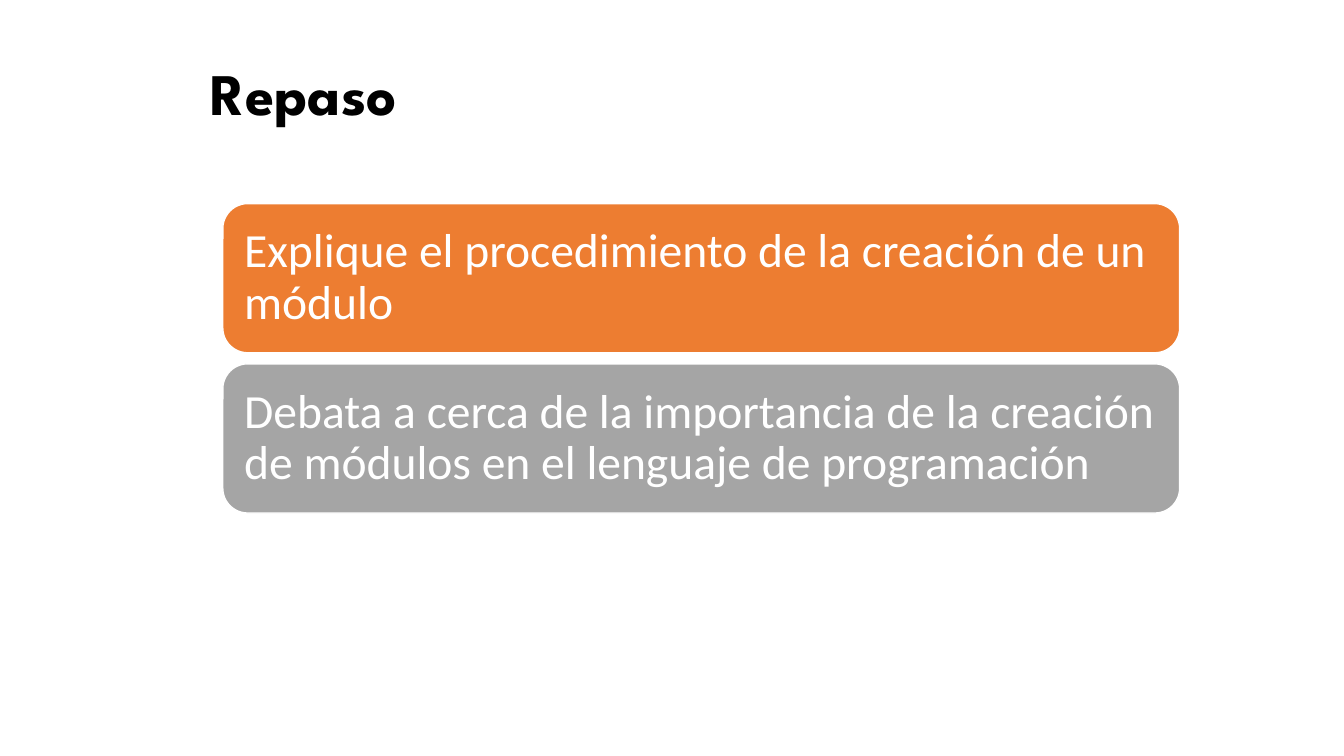
"""Build the review slide with a title and two discussion prompts."""
from dataclasses import dataclass

import pptx
import pptx.dml.color
import pptx.enum.shapes
import pptx.enum.text
import pptx.shapes.autoshape
import pptx.slide
import pptx.text.text
import pptx.util

Inches = pptx.util.Inches
RGBColor = pptx.dml.color.RGBColor


@dataclass(frozen=True)
class Theme:
    title_font: str = "League Spartan"
    body_font: str = "Calibri"
    title_size: int = 42
    body_size: int = 34
    black: str = "000000"
    white: str = "FFFFFF"
    orange: str = "ED7D31"
    gray: str = "A5A5A5"


@dataclass(frozen=True)
class Grid:
    left: float = 2.21
    top: float = 2.02
    width: float = 9.49
    height: float = 1.48
    pitch: float = 1.59
    side_inset: float = 0.14


@dataclass(frozen=True)
class Prompt:
    text: str
    color: str


THEME = Theme()
GRID = Grid()
PROMPTS = (
    Prompt("Explique el procedimiento de la creación de un módulo", THEME.orange),
    Prompt(
        "Debata a cerca de la importancia de la creación de módulos "
        "en el lenguaje de programación",
        THEME.gray,
    ),
)


def write_text(text_frame: pptx.text.text.TextFrame, text: str, font_name: str,
               size: int, color: str, bold: bool = False) -> None:
    text_frame.text = text
    text_frame.word_wrap = True
    text_frame.auto_size = pptx.enum.text.MSO_AUTO_SIZE.NONE
    text_frame.vertical_anchor = pptx.enum.text.MSO_ANCHOR.MIDDLE
    paragraph = text_frame.paragraphs[0]
    paragraph.alignment = pptx.enum.text.PP_ALIGN.LEFT
    paragraph.line_spacing = 0.9
    font = paragraph.runs[0].font
    font.name = font_name
    font.size = pptx.util.Pt(size)
    font.bold = bold
    font.color.rgb = RGBColor.from_string(color)


def add_title(slide: pptx.slide.Slide, text: str) -> None:
    title = slide.shapes.title
    title.left, title.top = Inches(1.99), Inches(0.4)
    title.width, title.height = Inches(10.43), Inches(1.11)
    write_text(title.text_frame, text, THEME.title_font,
               THEME.title_size, THEME.black, bold=True)


def add_prompt(slide: pptx.slide.Slide, row: int,
               prompt: Prompt) -> pptx.shapes.autoshape.Shape:
    shape = slide.shapes.add_shape(
        pptx.enum.shapes.MSO_SHAPE.ROUNDED_RECTANGLE,
        Inches(GRID.left), Inches(GRID.top + row * GRID.pitch),
        Inches(GRID.width), Inches(GRID.height),
    )
    shape.shadow.inherit = False
    shape.fill.solid()
    shape.fill.fore_color.rgb = RGBColor.from_string(prompt.color)
    shape.line.color.rgb = RGBColor.from_string(THEME.white)
    shape.line.width = pptx.util.Pt(1)
    text_frame = shape.text_frame
    text_frame.margin_left = text_frame.margin_right = Inches(GRID.side_inset)
    write_text(text_frame, prompt.text, THEME.body_font,
               THEME.body_size, THEME.white)
    return shape


def main() -> None:
    presentation = pptx.Presentation()
    presentation.slide_width = Inches(13.33)
    presentation.slide_height = Inches(7.5)
    slide = presentation.slides.add_slide(presentation.slide_layouts[5])
    add_title(slide, "Repaso")
    for row, prompt in enumerate(PROMPTS):
        add_prompt(slide, row, prompt)
    presentation.save("out.pptx")


if __name__ == "__main__":
    main()
